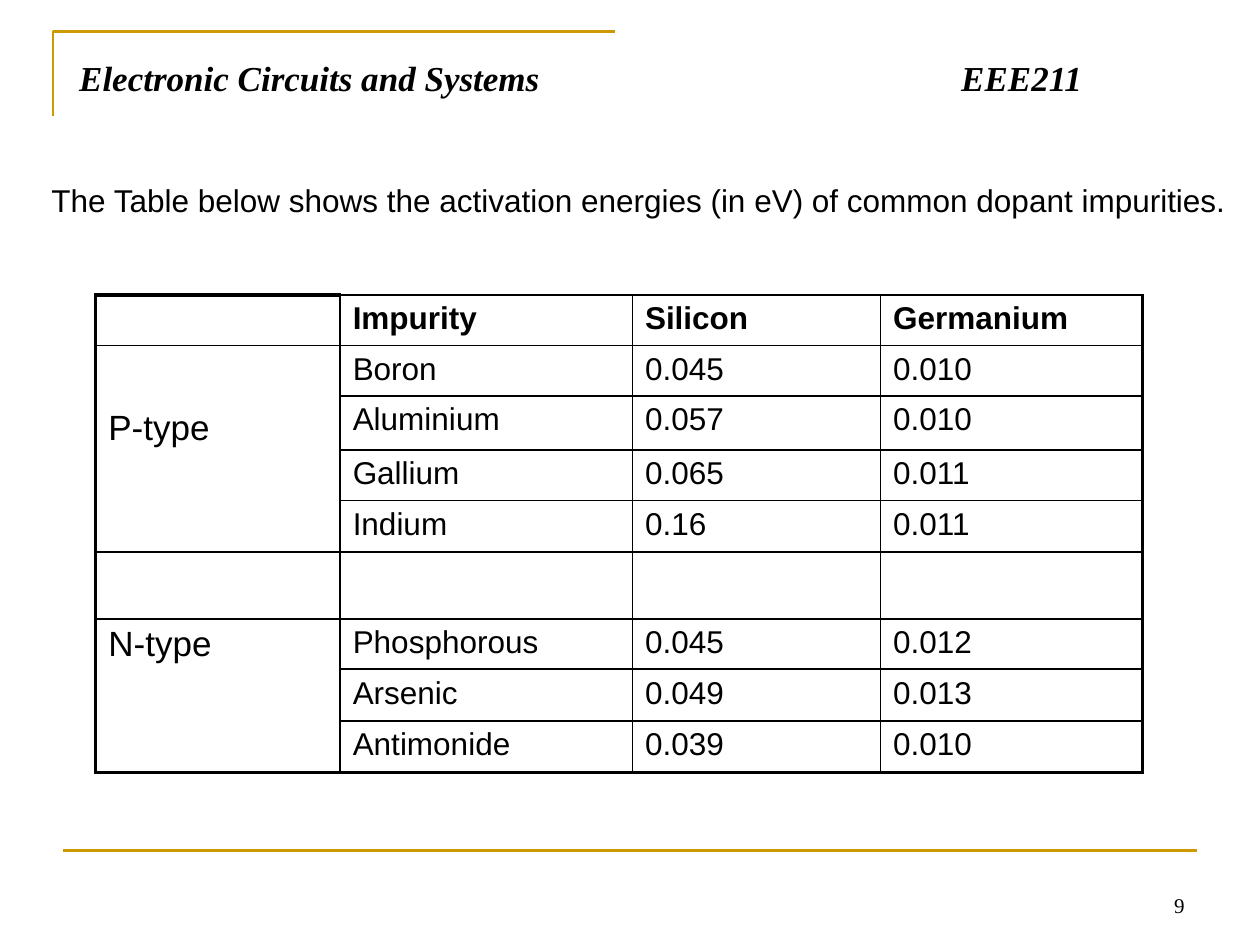
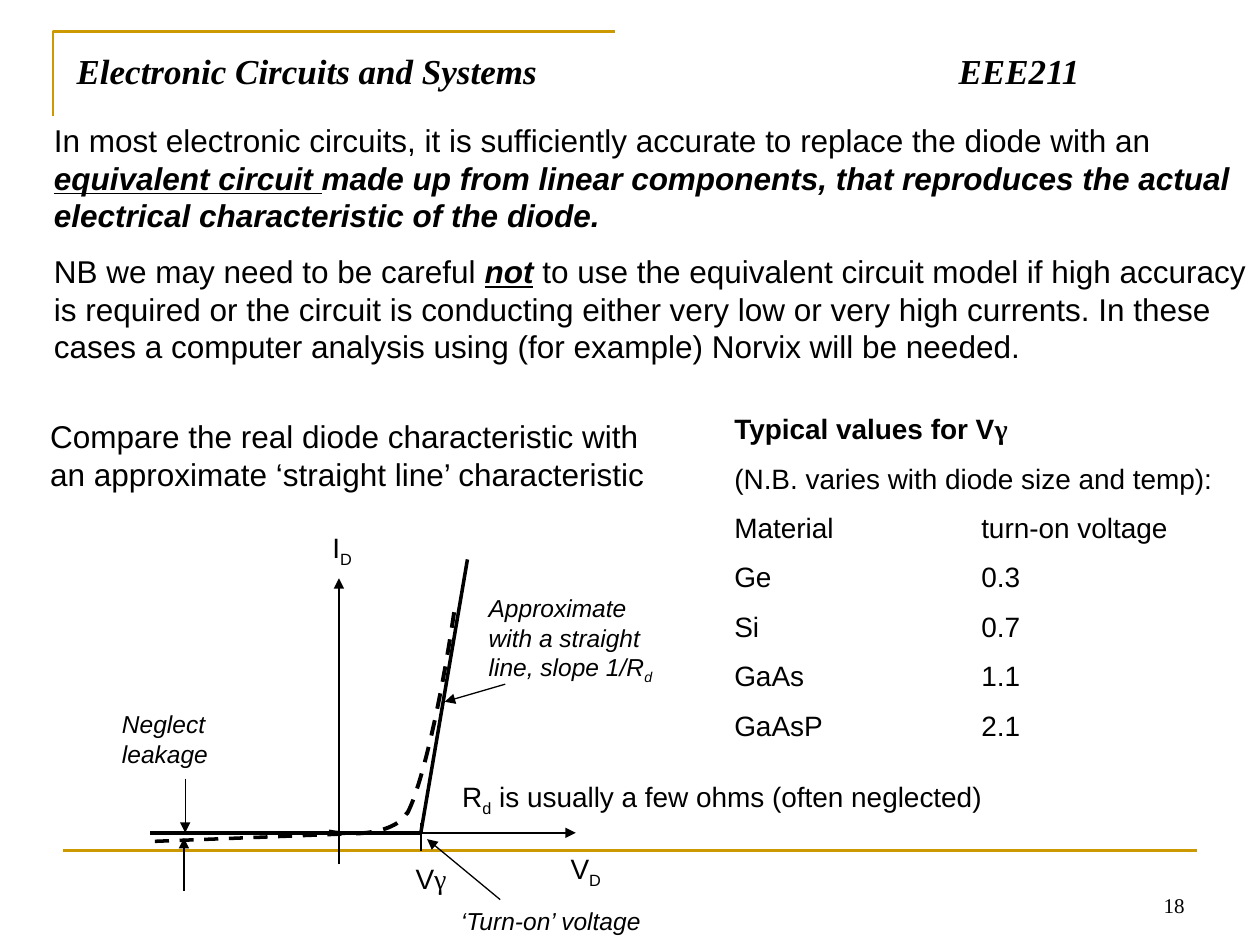
from lxml import etree
from pptx import Presentation, util as u
from pptx.dml.color import RGBColor
from pptx.enum import dml, shapes, text
from pptx.oxml.ns import qn

COLORS = {"ink": "000000", "gold": "CC9900"}
SANS, SERIF = "Arial", "Times New Roman"

presentation = Presentation()
presentation.slide_width, presentation.slide_height = u.Inches(10), u.Inches(7.5)
# The grid has 100 columns and 75 rows of square cells
CELL = presentation.slide_width // 100


def write(frame, paragraphs, size, font=SANS, hanging=0):
    """Fill a frame; a run is (text, marks): b, i, u, s = subscript, g = Greek."""
    frame.word_wrap = True
    for number, runs in enumerate(paragraphs):
        paragraph = frame.paragraphs[0] if number == 0 else frame.add_paragraph()
        if number:
            paragraph.space_before = u.Pt(round(size * 0.56, 1))
        if hanging:
            properties = paragraph._p.get_or_add_pPr()
            properties.set("marL", str(int(hanging * CELL)))
            properties.set("indent", str(int(-hanging * CELL)))
        for words, marks in runs:
            run = paragraph.add_run()
            run.text = words
            run.font.size = u.Pt(size)
            run.font.name = SERIF if "g" in marks else font
            run.font.bold, run.font.italic = "b" in marks, "i" in marks
            run.font.underline = "u" in marks
            run.font.color.rgb = RGBColor.from_string(COLORS["ink"])
            if "s" in marks:
                run._r.get_or_add_rPr().set("baseline", "-25000")


def draw(slide, points, width, color="ink", arrow=False, dash=False):
    """Two points give a connector, more points an open outline."""
    places = [(int(x * CELL), int(y * CELL)) for x, y in points]
    if len(places) == 2:
        shape = slide.shapes.add_connector(shapes.MSO_CONNECTOR.STRAIGHT, *places[0], *places[1])
        etree.SubElement(shape._element.spPr, qn("a:effectLst"))
    else:
        builder = slide.shapes.build_freeform(*places[0], scale=1.0)
        builder.add_line_segments(places[1:], close=False)
        shape = builder.convert_to_shape()
        shape.shadow.inherit = False
        shape.fill.background()
    shape.line.color.rgb = RGBColor.from_string(COLORS[color])
    shape.line.width = u.Pt(width)
    if dash:
        shape.line.dash_style = dml.MSO_LINE.DASH
    if arrow:
        etree.SubElement(shape.line._get_or_add_ln(), qn("a:tailEnd"), type="triangle")


# Shared frame: corner bracket, footer rule, course title, page number
slides = []
for number, title_box in [("9", (5.3, 4, 89.2, 6.1)), ("18", (5.1, 3.4, 85, 5.7))]:
    slide = presentation.slides.add_slide(presentation.slide_layouts[6])
    slides.append(slide)
    draw(slide, [(4.2, 9.2), (4.2, 2.5), (48.8, 2.5)], 1.5, "gold")
    draw(slide, [(5, 67.5), (95, 67.5)], 1.5, "gold")

    title = slide.shapes.add_textbox(*(int(v * CELL) for v in title_box)).text_frame
    write(title, [[("Electronic Circuits and Systems\tEEE211", "bi")]], 20, SERIF)
    stops = etree.SubElement(title.paragraphs[0]._p.get_or_add_pPr(), qn("a:tabLst"))
    etree.SubElement(stops, qn("a:tab"), pos=str(70 * CELL), algn="l")

    footer = slide.shapes.add_textbox(*(int(v * CELL) for v in (71.7, 68.3, 23.3, 5))).text_frame
    write(footer, [[(number, "")]], 12, SERIF)
    footer.vertical_anchor = text.MSO_ANCHOR.BOTTOM
    footer.paragraphs[0].alignment = text.PP_ALIGN.RIGHT
dopant_slide, diode_slide = slides

# Text blocks: slide, box in cells, size, hanging indent, paragraphs
text_blocks = [
    (dopant_slide, (3.1, 13.9, 96.9, 4), 18, 0, [[(
        "The Table below shows the activation energies (in eV) of common dopant impurities.", "")]]),
    (diode_slide, (3.3, 9.1, 96.7, 20.7), 18, 0, [
        [("In most electronic circuits, it is sufficiently accurate to replace the diode with an ", ""),
         ("equivalent circuit ", "biu"),
         ("made up from linear components, that reproduces the actual "
          "electrical characteristic of the diode.", "bi")],
        [("NB we may need to be careful ", ""), ("not", "biu"),
         (" to use the equivalent circuit model if high accuracy is required or the circuit is "
          "conducting either very low or very high currents. In these cases a computer analysis "
          "using (for example) Norvix will be needed.", "")]]),
    (diode_slide, (3, 32.6, 51.9, 7.1), 18, 0, [[(
        "Compare the real diode characteristic with an approximate ‘straight line’ characteristic", "")]]),
    (diode_slide, (57.3, 32.2, 40.3, 27.7), 16, 19.6, [
        [("Typical values for V", "b"), ("γ", "bg")],
        [("(N.B. varies with diode size and temp):", "")],
        [("Material\tturn-on voltage", "")],
        [("Ge\t0.3", "")],
        [("Si\t0.7", "")],
        [("GaAs\t1.1", "")],
        [("GaAsP\t2.1", "")]]),
    (diode_slide, (35.7, 61.4, 45.1, 3.7), 16, 0, [
        [("R", ""), ("d", "s"), (" is usually a few ohms (often neglected)", "")]]),
    # Graph labels
    (diode_slide, (25.4, 41.6, 4.1, 3.2), 16, 0, [[("I", ""), ("D", "s")]]),
    (diode_slide, (44.3, 67.1, 4.6, 3.2), 16, 0, [[("V", ""), ("D", "s")]]),
    (diode_slide, (32, 67.9, 5.4, 3.7), 16, 0, [[("V", ""), ("γ", "g")]]),
    (diode_slide, (8.7, 55.8, 11, 5.7), 14, 0, [[("Neglect leakage", "i")]]),
    (diode_slide, (37.8, 46.6, 16.3, 7), 14, 0, [
        [("Approximate with a straight line, slope 1/R", "i"), ("d", "is")]]),
    (diode_slide, (35.6, 71.4, 17.7, 2.9), 14, 0, [[("‘Turn-on’ voltage", "i")]]),
]
for slide, box, size, hanging, paragraphs in text_blocks:
    textbox = slide.shapes.add_textbox(*(int(v * CELL) for v in box))
    write(textbox.text_frame, paragraphs, size, hanging=hanging)

# Table of activation energies
energies = [
    ("", "Impurity", "Silicon", "Germanium"),
    ("P-type", "Boron", "0.045", "0.010"),
    ("", "Aluminium", "0.057", "0.010"),
    ("", "Gallium", "0.065", "0.011"),
    ("", "Indium", "0.16", "0.011"),
    ("", "", "", ""),
    ("N-type", "Phosphorous", "0.045", "0.012"),
    ("", "Arsenic", "0.049", "0.013"),
    ("", "Antimonide", "0.039", "0.010"),
]
column_widths = [19.4, 23.2, 19.7, 20.8]
row_heights = [4, 4, 4.3, 4, 4.1, 5.3, 4, 4.1, 4.1]
last_row, last_column = len(row_heights) - 1, len(column_widths) - 1
table = dopant_slide.shapes.add_table(
    len(row_heights), len(column_widths), int(7.6 * CELL), int(23.4 * CELL),
    int(sum(column_widths) * CELL), int(sum(row_heights) * CELL)).table
table.first_row = table.horz_banding = False
for column, width in zip(table.columns, column_widths):
    column.width = int(width * CELL)
for row, height in zip(table.rows, row_heights):
    row.height = int(height * CELL)
for first, last in [(1, 4), (6, 8)]:
    table.cell(first, 0).merge(table.cell(last, 0))

for r, values in enumerate(energies):
    for c, value in enumerate(values):
        cell = table.cell(r, c)
        if value:
            write(cell.text_frame, [[(value, "b" if r == 0 else "")]], 18 if c else 20)
        thick = {"lnL": c == 0, "lnR": c == last_column, "lnT": r == c == 0,
                 "lnB": r + cell.span_height - 1 == last_row}
        for side, is_thick in thick.items():
            border = etree.SubElement(cell._tc.get_or_add_tcPr(), qn("a:" + side),
                                      w=str(u.Pt(2.25 if is_thick else 1)))
            fill = etree.SubElement(border, qn("a:solidFill"))
            etree.SubElement(fill, qn("a:srgbClr"), val=COLORS["ink"])
        cell.fill.background()
table.cell(1, 0).margin_top = 5 * CELL

# Diode graph: axes, turn-on tick, straight-line model
origin_y, knee_x = 66.1, 33.4
draw(diode_slide, [(13.8, origin_y), (45.7, origin_y)], 1, arrow=True)
draw(diode_slide, [(26.9, 68.6), (26.9, 45.9)], 1, arrow=True)
draw(diode_slide, [(knee_x, 65.3), (knee_x, 67.5)], 1)
draw(diode_slide, [(37.1, 44.4), (knee_x, origin_y)], 2)
draw(diode_slide, [(knee_x, origin_y), (11.9, origin_y)], 2)

# Real characteristic: leakage line, then two Bezier arcs
draw(diode_slide, [(27.1, 66.2), (11.6, 66.8)], 2, dash=True)
arcs = [
    [(26.1, 66), (29, 66.5), (31.7, 65.8), (32.3, 64.5)],
    [(32.3, 64.6), (33.4, 62.6), (35, 55.9), (36.1, 48.2)],
]
STEPS = 24
for arc in arcs:
    curve = []
    for step in range(STEPS + 1):
        t = step / STEPS
        weights = [(1 - t) ** 3, 3 * t * (1 - t) ** 2, 3 * t ** 2 * (1 - t), t ** 3]
        curve.append([sum(w * point[axis] for w, point in zip(weights, arc)) for axis in (0, 1)])
    draw(diode_slide, curve, 2.25, dash=True)

# Callout arrows: leakage above and below, slope, turn-on voltage
for start, end in [((14.7, 61.8), (14.7, 66.1)), ((14.6, 70.7), (14.6, 66.5)),
                   ((40.1, 54.3), (35.3, 55.7)), ((39.7, 71.4), (33.9, 66.6))]:
    draw(diode_slide, [start, end], 0.75, arrow=True)

presentation.save("out.pptx")
